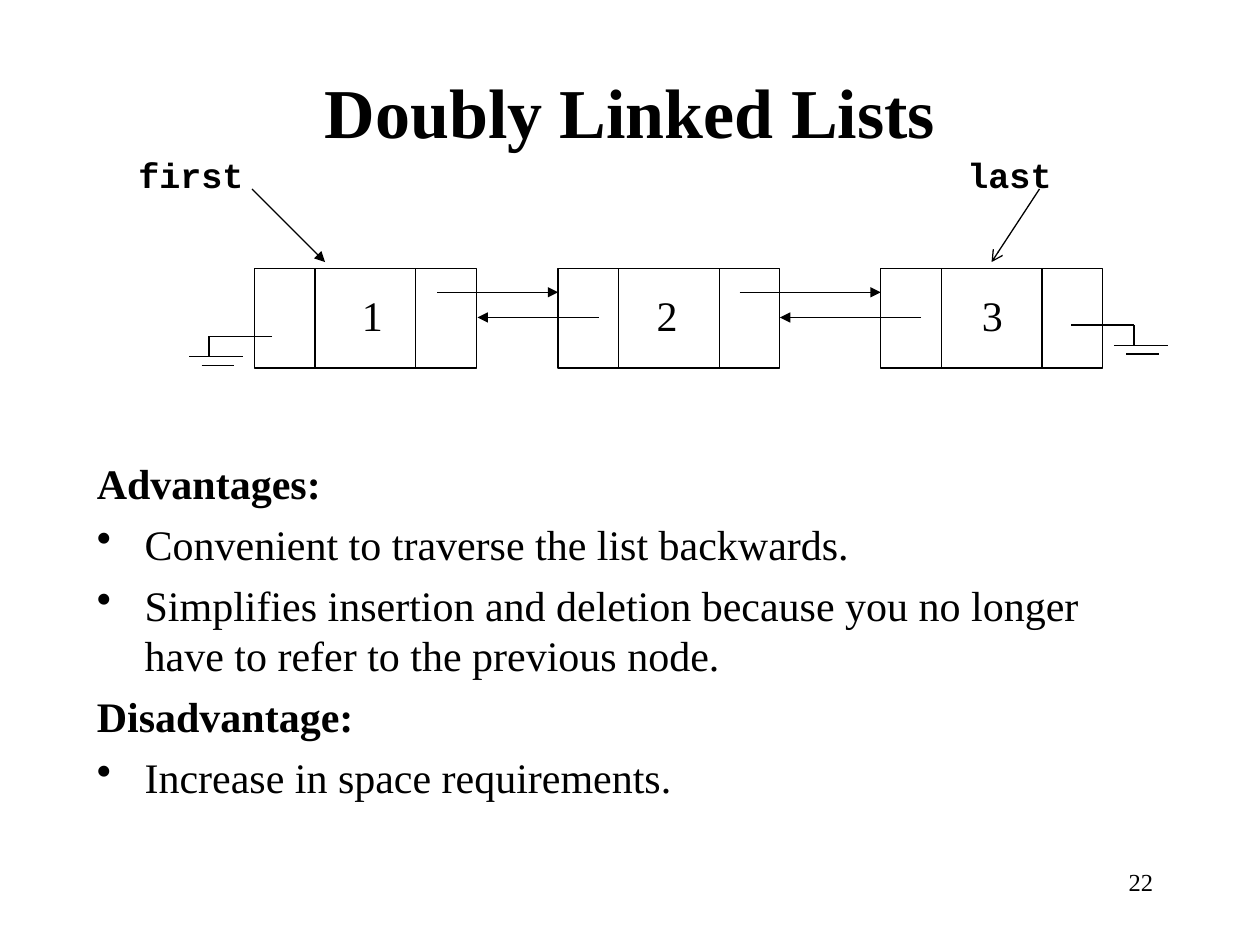
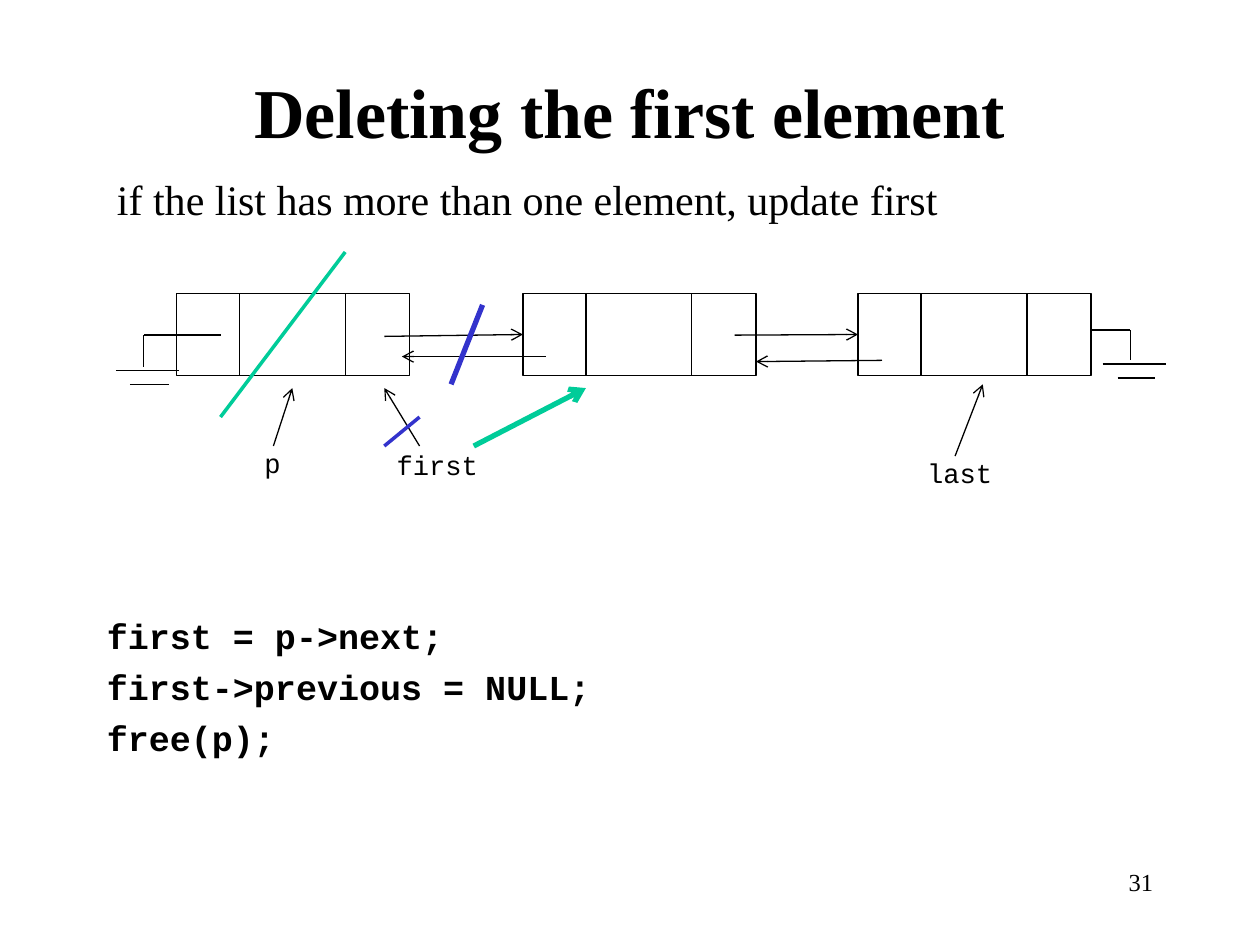
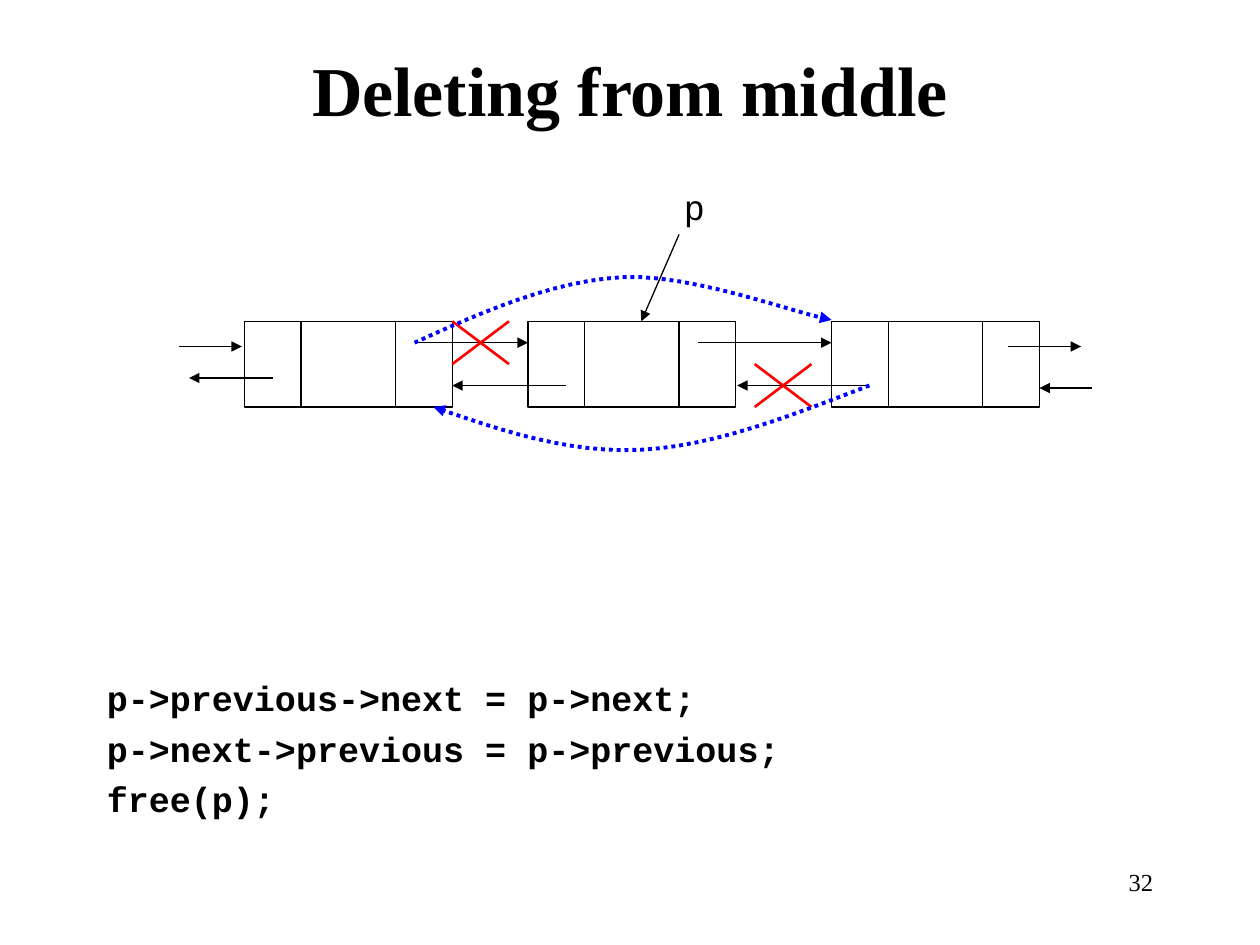
"""Build three slides on doubly linked lists and deletion from them."""
from lxml.etree import SubElement
from pptx import Presentation
from pptx.dml.color import RGBColor
from pptx.enum.dml import MSO_LINE
from pptx.enum.shapes import MSO_CONNECTOR as CONNECTOR, MSO_SHAPE as SHAPE
from pptx.enum.text import MSO_ANCHOR as ANCHOR, PP_ALIGN as ALIGN
from pptx.oxml.ns import qn
from pptx.util import Inches, Pt

COLORS = {"ink": "000000", "paper": "FFFFFF", "green": "00CC99",
          "indigo": "3333CC", "blue": "0000FF", "red": "FF0000"}
SERIF, MONO = "Times New Roman", "Courier New"


def write(slide, text, x, y, w, h, size=24, font=SERIF, bold=False, align=ALIGN.LEFT,
          anchor=ANCHOR.TOP, before=0, spacing=None, bullet="• "):
    frame = slide.shapes.add_textbox(Inches(x), Inches(y), Inches(w), Inches(h)).text_frame
    frame.word_wrap = True
    frame.vertical_anchor = anchor
    for i, row in enumerate(text.split("\n")):
        paragraph = frame.paragraphs[0] if i == 0 else frame.add_paragraph()
        paragraph.alignment = align
        paragraph.space_before = Pt(before if i else 0)
        if spacing:
            paragraph.line_spacing = spacing
        if row.startswith(bullet):
            props = paragraph._p.get_or_add_pPr()
            props.set("marL", str(Inches(0.38)))
            props.set("indent", str(-Inches(0.38)))
            SubElement(props, qn("a:buChar")).set("char", bullet.strip())
        run = paragraph.add_run()
        run.text = row.removeprefix(bullet)
        run.font.size, run.font.name = Pt(size), font
        run.font.bold = bold or row.endswith(":")
        run.font.color.rgb = RGBColor.from_string(COLORS["ink"])


def draw(slide, points, head=None, color="ink", width=0.75, dash=None):
    start, *rest = [(Inches(x), Inches(y)) for x, y in points]
    if len(rest) == 1:
        stroke = slide.shapes.add_connector(CONNECTOR.STRAIGHT, *start, *rest[0])
    else:
        outline = slide.shapes.build_freeform(*start)
        outline.add_line_segments(rest, close=False)
        stroke = outline.convert_to_shape()
        stroke.fill.background()
    stroke.line.color.rgb = RGBColor.from_string(COLORS[color])
    stroke.line.width = Pt(width)
    if dash:
        stroke.line.dash_style = dash
    props = stroke.element.spPr
    if head:
        SubElement(props.find(qn("a:ln")), qn("a:tailEnd")).set("type", head)
    SubElement(props, qn("a:effectLst"))
    return stroke


prs = Presentation()
prs.slide_width, prs.slide_height = Inches(10), Inches(7.5)

pages = []
for title, title_top, number in [("Doubly Linked Lists", 0.5, "22"),
                                 ("Deleting the first element", 0.5, "31"),
                                 ("Deleting from middle", 0.33, "32")]:
    page = prs.slides.add_slide(prs.slide_layouts[6])
    write(page, title, 0.75, title_top, 8.5, 0.75, size=40, bold=True,
          align=ALIGN.CENTER, anchor=ANCHOR.MIDDLE)
    write(page, number, 7.17, 6.83, 2.08, 0.5, size=14, align=ALIGN.RIGHT)
    pages.append(page)
overview, first_removal, middle_removal = pages

nodes = []
for page, lefts, top, width, height, dividers in [
        (overview, (2.02, 4.43, 6.99), 2.13, 1.76, 0.79, (0.48, 1.28)),
        (first_removal, (1.4, 4.15, 6.81), 2.33, 1.85, 0.65, (0.5, 1.34)),
        (middle_removal, (1.94, 4.19, 6.6), 2.55, 1.65, 0.68, (0.45, 1.2))]:
    for left in lefts:
        node = page.shapes.add_shape(SHAPE.RECTANGLE, Inches(left), Inches(top),
                                     Inches(width), Inches(height))
        node.shadow.inherit = False
        node.fill.solid()
        node.fill.fore_color.rgb = RGBColor.from_string(COLORS["paper"])
        node.line.color.rgb = RGBColor.from_string(COLORS["ink"])
        node.line.width = Pt(0.75)
        nodes.append(node)
        for offset in dividers:
            draw(page, [(left + offset, top), (left + offset, top + height)])

for x1, y1, x2, y2 in [(3.47, 2.32, 4.43, 2.32), (4.75, 2.52, 3.79, 2.52),
                       (5.87, 2.32, 6.99, 2.32), (7.31, 2.52, 6.19, 2.52),
                       (2, 1.5, 2.58, 2.08)]:
    draw(overview, [(x1, y1), (x2, y2)], "triangle")
draw(overview, [(8.25, 1.5), (7.87, 2.08)], "arrow")

for page, lead, stem, lead_y, bar_y, bar, short_bar, bar_gap in [
        (overview, 8.5, 9, 2.58, 2.74, (8.84, 9.27), (8.94, 9.2), 0.07),
        (overview, 2.16, 1.66, 2.67, 2.83, (1.5, 1.93), (1.6, 1.86), 0.07),
        (first_removal, 8.66, 8.97, 2.62, 2.89, (8.75, 9.25), (8.87, 9.17), 0.11),
        (first_removal, 1.75, 1.14, 2.66, 2.94, (0.92, 1.42), (1.03, 1.34), 0.11)]:
    draw(page, [(lead, lead_y), (stem, lead_y)])
    draw(page, [(stem, lead_y), (stem, bar_y - (0.03 if page is first_removal else 0))])
    for (x1, x2), y in [(bar, bar_y), (short_bar, bar_y + bar_gap)]:
        draw(page, [(x1, y), (x2, y)])

for value, left in [("1", 2.58), ("2", 4.92), ("3", 7.5)]:
    write(overview, value, left, 2.25, 0.75, 0.5, align=ALIGN.CENTER)
for label, left in [("first", 1), ("last", 7.58)]:
    write(overview, label, left, 1.17, 1.42, 0.59, size=20, font=MONO, bold=True)
write(overview, "Advantages:\n"
      "• Convenient to traverse the list backwards.\n"
      "• Simplifies insertion and deletion because you no longer "
      "have to refer to the previous node.\n"
      "Disadvantage:\n"
      "• Increase in space requirements.", 0.67, 3.58, 8.67, 2.92, before=6)

write(first_removal, "if the list has more than one element, update first",
      0.83, 1.33, 7.25, 0.5)
for label, left, top, width in [("p", 2, 3.54, 0.51), ("first", 3.05, 3.56, 1.07),
                                ("last", 7.26, 3.62, 1.07)]:
    write(first_removal, label, left, top, width, 0.38, size=15.5, font=MONO, spacing=0.8)
for x1, y1, x2, y2 in [(2.17, 3.54, 2.32, 3.08), (3.33, 3.54, 3.05, 3.08),
                       (7.58, 3.62, 7.8, 3.05), (7, 2.86, 6, 2.87),
                       (4.33, 2.83, 3.19, 2.83)]:
    draw(first_removal, [(x1, y1), (x2, y2)], "arrow")
for x1, y1, x2, target in [(3.05, 2.67, 4.15, nodes[4]), (5.83, 2.66, 6.81, nodes[5])]:
    draw(first_removal, [(x1, y1), (x2, 2.66)], "arrow").end_connect(target, 1)
for x1, y1, x2, y2, color, width, head in [
        (2.74, 2, 1.75, 3.31, "green", 2, None), (3.76, 3.54, 4.65, 3.08, "green", 3, "arrow"),
        (3.33, 3.31, 3.05, 3.54, "indigo", 2, None), (3.83, 2.42, 3.58, 3.05, "indigo", 3, None)]:
    draw(first_removal, [(x1, y1), (x2, y2)], head, color, width)
write(first_removal, "first = p->next;\nfirst->previous = NULL;\nfree(p);",
      0.75, 4.83, 8.5, 1.83, size=20, font=MONO, bold=True, before=5)

write(middle_removal, "p", 5.33, 1.42, 1.42, 0.51, size=20, font=MONO)
for x1, y1, x2, y2 in [(5.39, 1.86, 5.09, 2.55), (3.29, 2.72, 4.19, 2.72),
                       (4.49, 3.06, 3.59, 3.06), (5.54, 2.72, 6.6, 2.72),
                       (6.9, 3.06, 5.85, 3.06), (1.42, 2.75, 1.92, 2.75),
                       (2.17, 3, 1.5, 3), (8.67, 3.08, 8.25, 3.08), (8, 2.75, 8.58, 2.75)]:
    draw(middle_removal, [(x1, y1), (x2, y2)], "triangle")
for left, top in [(3.59, 2.55), (5.99, 2.89)]:
    right, bottom = left + 0.45, top + 0.34
    draw(middle_removal, [(left, top), (right, bottom)], color="red", width=1.5)
    draw(middle_removal, [(right, top), (left, bottom)], color="red", width=1.5)

STEPS = 12
for bypass in [
        [(3.29, 2.72), (3.84, 2.47), (4.39, 2.23), (4.94, 2.2), (5.49, 2.17), (6.32, 2.49), (6.6, 2.54)],
        [(6.9, 3.06), (6.28, 3.3), (5.67, 3.54), (5.09, 3.57), (4.52, 3.6), (3.98, 3.42), (3.44, 3.23)]]:
    curve = bypass[:1]
    for first in (0, 3):
        for t in [step / STEPS for step in range(1, STEPS + 1)]:
            weights = ((1 - t) ** 3, 3 * t * (1 - t) ** 2, 3 * t ** 2 * (1 - t), t ** 3)
            curve.append([sum(w * c for w, c in zip(weights, axis))
                          for axis in zip(*bypass[first:first + 4])])
    draw(middle_removal, curve, "triangle", "blue", 2.25, MSO_LINE.ROUND_DOT)
write(middle_removal, "p->previous->next = p->next;\np->next->previous = p->previous;\nfree(p);",
      0.75, 5.32, 8.5, 1.43, size=20, font=MONO, bold=True, before=5)

prs.save("out.pptx")
